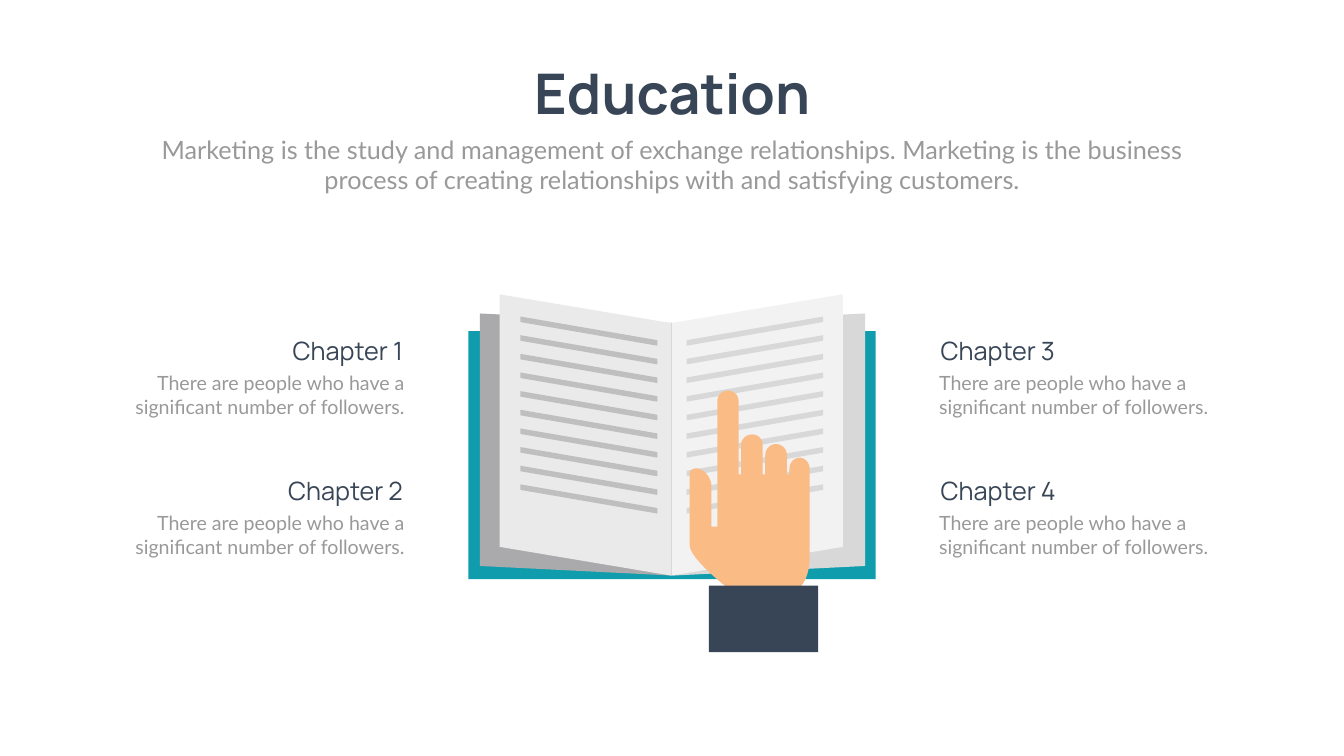
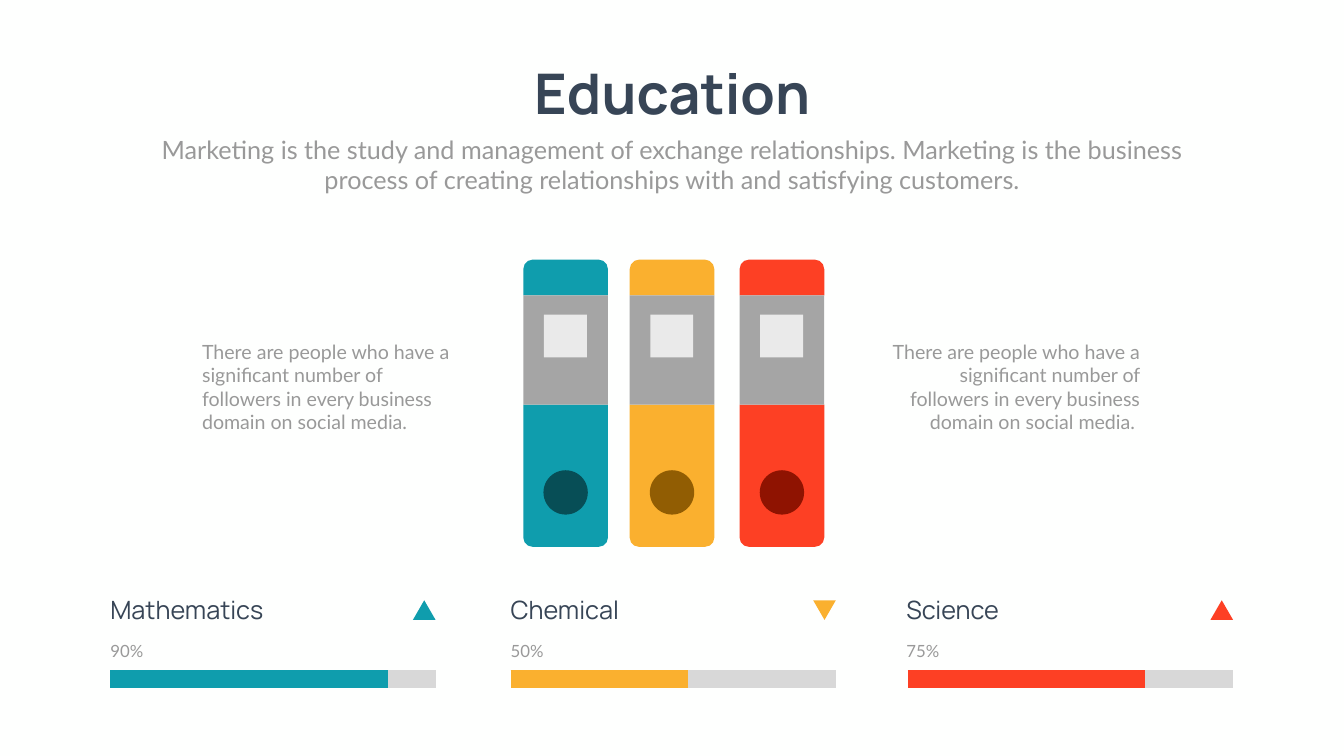
from lxml import etree
from pptx import Presentation
from pptx import util as u
from pptx.dml.color import RGBColor
from pptx.enum import shapes, text
from pptx.oxml.ns import qn

NAVY, GRAY, WHITE = "374556", "999999", "FEFFFE"
TEAL, AMBER, RED = "0F9DAD", "FAB02F", "FD4024"
SILVER, PAPER, BAND = "D8D8D8", "EAEAEA", "A5A5A5"
HEAD, BODY = "Manrope", "Lato"
LEFT, CENTER, RIGHT = text.PP_ALIGN.LEFT, text.PP_ALIGN.CENTER, text.PP_ALIGN.RIGHT
SHAPE = shapes.MSO_SHAPE

INTRO = ("Marketing is the study and management of exchange relationships. "
         "Marketing is the business process of creating relationships with "
         "and satisfying customers.")
FOLLOWERS = "There are people who have a significant number of followers"

HAND = [
    (15.87, 9.08), (15.75, 9.08, 15.66, 9.18, 15.66, 9.3), (15.66, 9.41),
    (15.61, 9.41), (15.61, 9.03), (15.61, 8.91, 15.51, 8.81, 15.39, 8.81),
    (15.28, 8.81, 15.18, 8.91, 15.18, 9.03), (15.18, 9.41), (15.13, 9.41),
    (15.13, 8.83), (15.13, 8.71, 15.04, 8.62, 14.92, 8.62),
    (14.8, 8.62, 14.7, 8.71, 14.7, 8.83), (14.7, 9.41), (14.65, 9.41),
    (14.65, 7.96), (14.65, 7.84, 14.56, 7.75, 14.44, 7.75),
    (14.32, 7.75, 14.23, 7.84, 14.23, 7.96), (14.23, 10.45), (14.11, 10.45),
    (14.11, 9.61), (14.09, 9.48, 14.01, 9.36, 13.89, 9.31),
    (13.84, 9.28, 13.68, 9.28, 13.68, 9.4), (13.68, 10.82),
    (13.68, 11.04, 14.22, 11.5, 14.44, 11.67),
    (14.5, 11.73, 14.57, 11.76, 14.66, 11.77), (15.63, 11.77),
    (15.87, 11.77, 16.06, 11.46, 16.06, 11.08), (16.06, 9.3),
    (16.06, 9.19, 15.98, 9.09, 15.87, 9.08),
]


def rgb(color):
    return RGBColor.from_string(color)


def paint(sp, color):
    sp.shadow.inherit = False
    sp.fill.solid()
    sp.fill.fore_color.rgb = rgb(color)
    sp.line.fill.background()
    return sp


def add_label(parent, words, x, y, w, h, size, color=GRAY, font=BODY,
              align=LEFT, bold=False, spacing=None):
    tf = parent.add_textbox(*map(u.Inches, (x, y, w, h))).text_frame
    tf.word_wrap = True
    p = tf.paragraphs[0]
    p.text = words
    p.alignment = align
    if spacing:
        p.line_spacing = spacing
    f = p.runs[0].font
    f.name, f.size, f.bold = font, u.Pt(size), bold
    f.color.rgb = rgb(color)


def add_heading(parent, words, x, y, w, align=LEFT):
    add_label(parent, words, x, y, w, 0.71, 36, NAVY, HEAD, align)


def add_block(parent, kind, x, y, w, h, color):
    return paint(parent.add_shape(kind, *map(u.Inches, (x, y, w, h))), color)


def bezier(start, curve, steps=10):
    points = [start, curve[:2], curve[2:4], curve[4:]]
    for i in range(1, steps + 1):
        t = i / steps
        weights = ((1 - t) ** 3, 3 * t * (1 - t) ** 2, 3 * t * t * (1 - t), t ** 3)
        yield tuple(sum(k * pt[axis] for k, pt in zip(weights, points))
                    for axis in (0, 1))


def add_outline(parent, segments, color):
    points = [segments[0]]
    for seg in segments[1:]:
        points.extend([seg] if len(seg) == 2 else bezier(points[-1], seg))
    emu = [(u.Inches(x), u.Inches(y)) for x, y in points]
    builder = parent.build_freeform(*emu[0])
    builder.add_line_segments(emu[1:], close=True)
    paint(builder.convert_to_shape(), color)


def add_slanted(parent, x1, y1, x2, y2, height, color):
    add_outline(parent, [(x1, y1), (x2, y2), (x2, y2 + height), (x1, y1 + height)],
                color)


def add_bar(parent, x, y, length, color):
    line = parent.add_connector(shapes.MSO_CONNECTOR.STRAIGHT,
                                *map(u.Inches, (x, y, x + length, y)))
    line.line.width = u.Pt(25)
    line.line.color.rgb = rgb(color)
    etree.SubElement(line._element.spPr, qn("a:effectLst"))


def add_slide(prs):
    s = prs.slides.add_slide(prs.slide_layouts[6])
    s.background.fill.solid()
    s.background.fill.fore_color.rgb = rgb(WHITE)
    add_label(s.shapes, "Education", 10.32, 1.12, 6.03, 1.45, 80, NAVY, HEAD,
              CENTER, True)
    add_label(s.shapes, INTRO, 2.92, 2.61, 20.82, 1.31, 36, align=CENTER)
    return s


def add_book(s):
    book = s.shapes.add_group_shape().shapes
    add_block(book, SHAPE.RECTANGLE, 9.29, 6.57, 8.08, 4.92, TEAL)
    for page in (
        (9.52, 6.22, 13.34, 6.41, 5.01, "AAAAAC"),
        (13.35, 6.41, 17.16, 6.22, 5.01, SILVER),
        (9.91, 5.84, 13.31, 6.41, 5.01, PAPER),
        (13.32, 6.41, 16.72, 5.84, 5.01, "F2F2F2"),
    ):
        add_slanted(book, *page)
    for x1, y1, x2, y2, color in (
        (10.32, 6.28, 13.04, 6.75, "BFBFBF"),
        (13.62, 6.75, 16.33, 6.28, SILVER),
    ):
        for row in range(10):
            drop = row * 0.37
            add_slanted(book, x1, y1 + drop, x2, y2 + drop, 0.11, color)
    add_outline(book, HAND, "FABB85")
    add_block(book, SHAPE.RECTANGLE, 14.06, 11.62, 2.17, 1.32, NAVY)


def add_chapters(s, first, head_x, body_x, align):
    column = s.shapes.add_group_shape().shapes
    for row in range(2):
        y = 6.61 + row * 2.77
        add_heading(column, f"Chapter {first + row}", head_x, y, 5.35, align)
        add_label(column, FOLLOWERS + ".", body_x, y + 0.71, 5.75, 1.04, 28,
                  align=align)


def add_binder(s, x, color, dark):
    w = 1.68
    base = add_block(s.shapes, SHAPE.ROUND_2_SAME_RECTANGLE, x, 8.03, w, 2.82, color)
    base.adjustments[0], base.adjustments[1] = 0, 0.11
    cap = add_block(s.shapes, SHAPE.ROUND_2_SAME_RECTANGLE, x, 5.15, w, 0.71, color)
    cap.adjustments[0] = 0.27
    add_block(s.shapes, SHAPE.RECTANGLE, x, 5.86, w, 2.17, BAND)
    add_block(s.shapes, SHAPE.RECTANGLE, x + 0.41, 6.24, 0.85, 0.85, PAPER)
    add_block(s.shapes, SHAPE.OVAL, x + 0.4, 9.33, 0.88, 0.88, dark)


def add_subject(s, name, percent, text_x, bar_x, length, color, rotation):
    add_bar(s.shapes, bar_x, 13.47, 6.45, SILVER)
    add_bar(s.shapes, bar_x, 13.47, length, color)
    arrow = add_block(s.shapes, SHAPE.ISOSCELES_TRIANGLE, bar_x + 6, 11.91, 0.45,
                      0.39, color)
    arrow.rotation = rotation
    add_label(s.shapes, percent, text_x, 12.38, 2.55, 0.6, 24, spacing=1.7)
    add_heading(s.shapes, name, text_x, 11.75, 4.53)


def build_book_slide(prs):
    s = add_slide(prs)
    add_book(s)
    add_chapters(s, 1, 2.74, 2.37, RIGHT)
    add_chapters(s, 3, 18.56, 18.53, LEFT)


def build_binder_slide(prs):
    s = add_slide(prs)
    for binder in ((10.38, TEAL, "074E56"), (12.49, AMBER, "915D03"),
                   (14.67, RED, "8F1301")):
        add_binder(s, *binder)
    for subject in (
        ("Mathematics", "90%", 2.09, 2.19, 5.51, TEAL, 0),
        ("Chemical", "50%", 10.03, 10.13, 3.51, AMBER, 180),
        ("Science", "75%", 17.88, 18.01, 4.71, RED, 0),
    ):
        add_subject(s, *subject)
    note = FOLLOWERS + " in every business domain on social media."
    add_label(s.shapes, note, 3.91, 6.69, 5.32, 1.99, 28)
    add_label(s.shapes, note + " ", 17.39, 6.69, 5.32, 1.99, 28, align=RIGHT)


def main():
    prs = Presentation()
    prs.slide_width, prs.slide_height = u.Inches(26.66), u.Inches(15)
    build_book_slide(prs)
    build_binder_slide(prs)
    prs.save("out.pptx")


if __name__ == "__main__":
    main()
